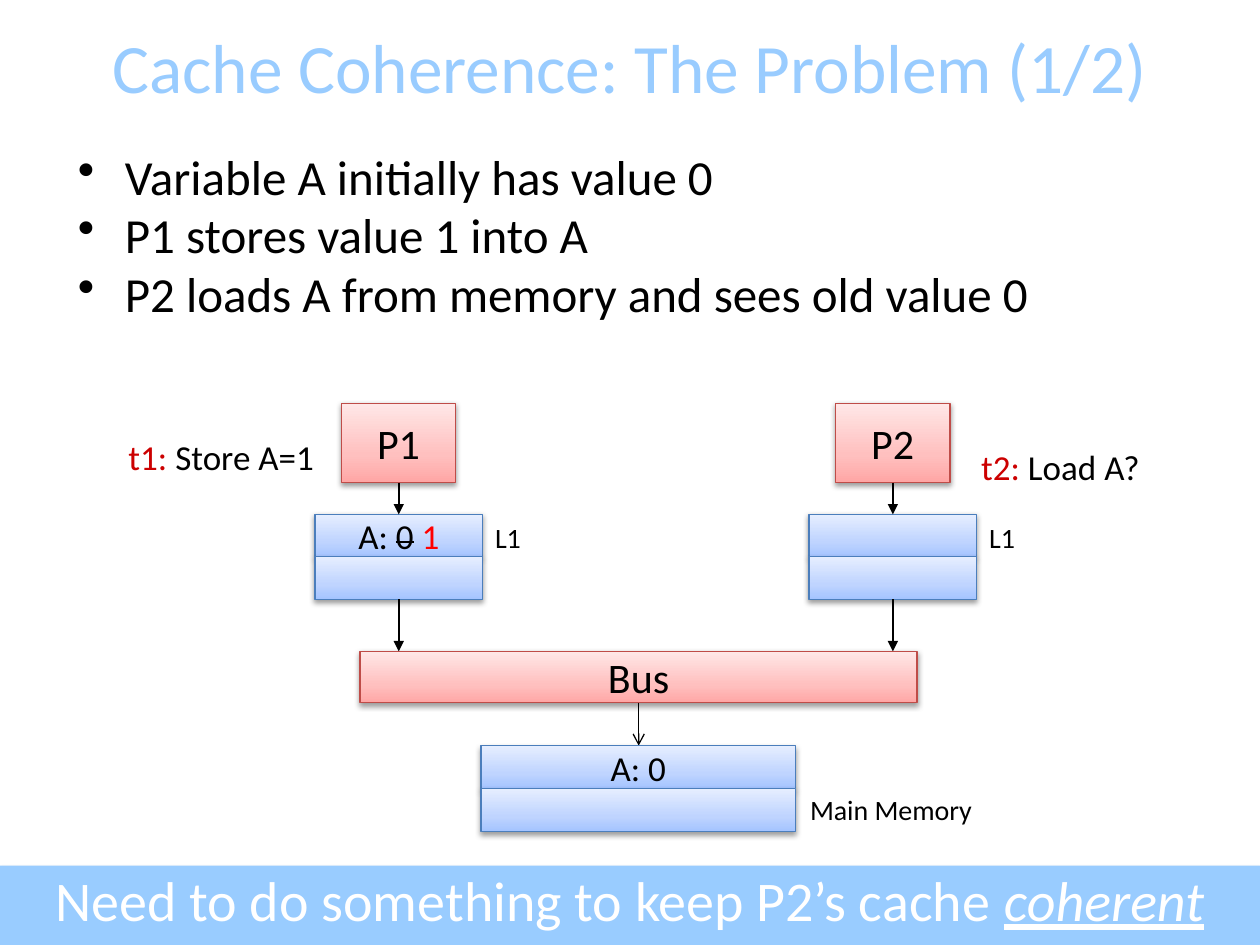
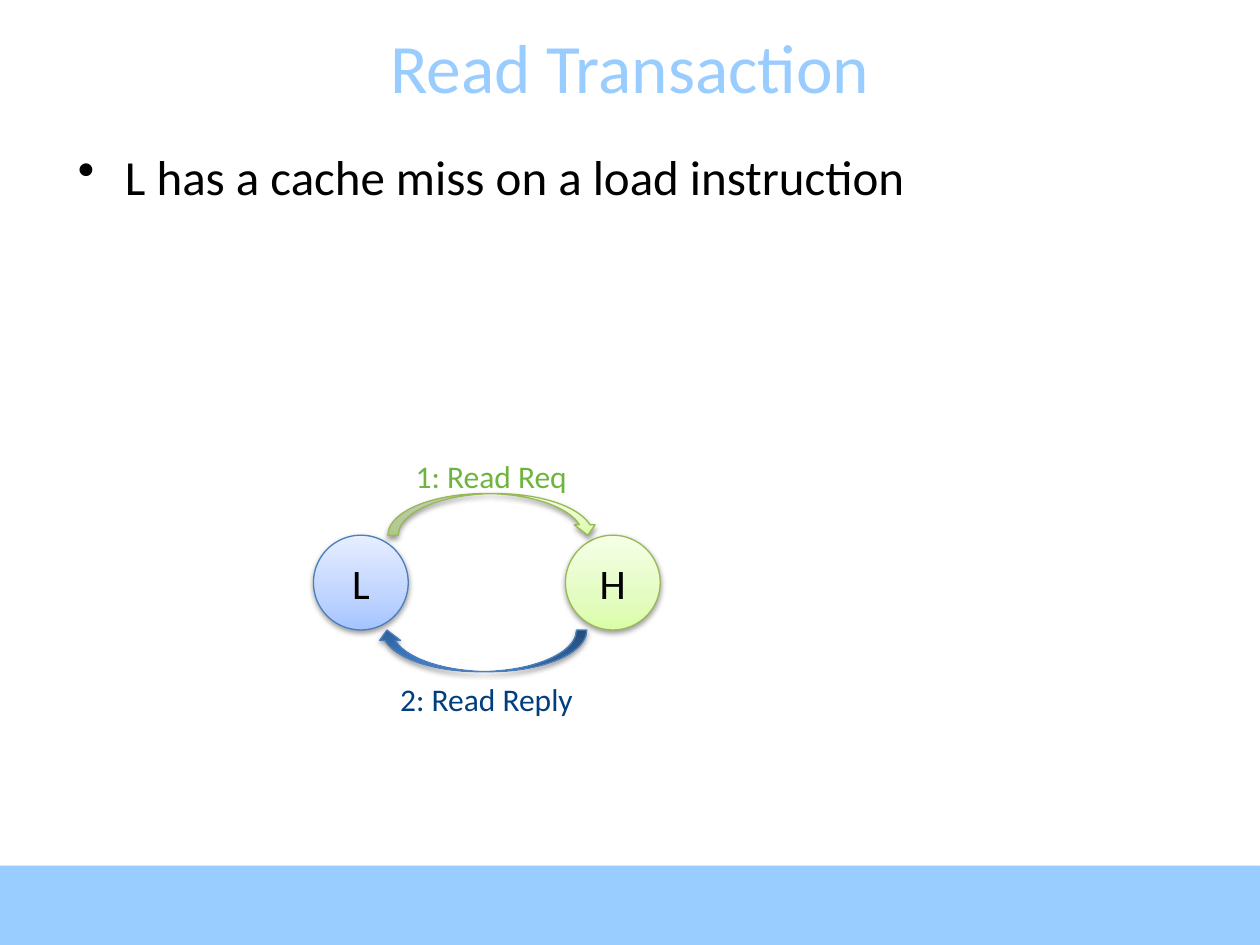
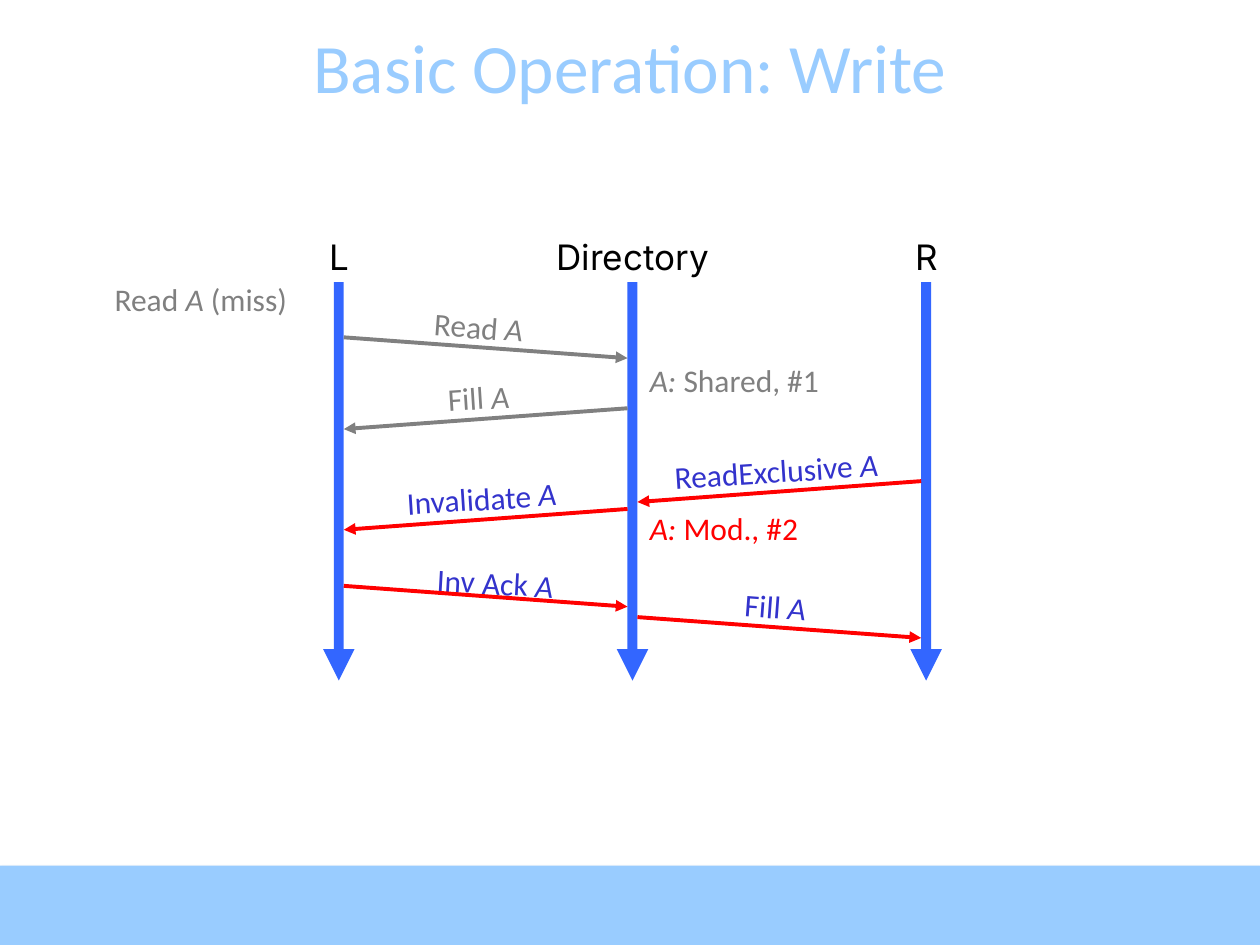
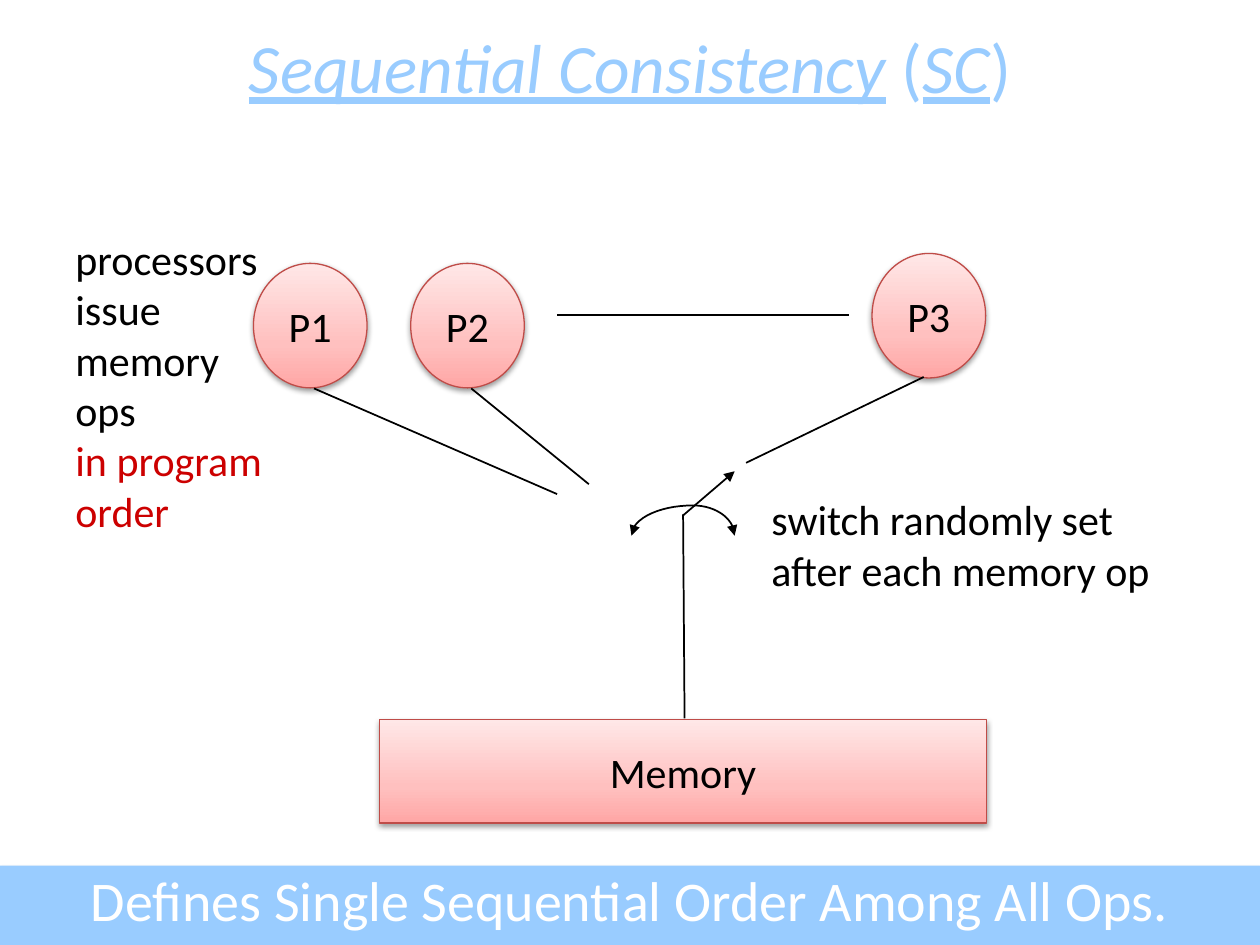
import math
from dataclasses import dataclass

from lxml import etree
from pptx import Presentation
from pptx.dml.color import RGBColor
from pptx.enum.shapes import MSO_CONNECTOR, MSO_SHAPE
from pptx.enum.text import MSO_ANCHOR, PP_ALIGN
from pptx.oxml.ns import qn
from pptx.util import Cm, Pt

LEFT, CENTER = PP_ALIGN.LEFT, PP_ALIGN.CENTER
TOP, MIDDLE = MSO_ANCHOR.TOP, MSO_ANCHOR.MIDDLE
STRAIGHT = MSO_CONNECTOR.STRAIGHT
RECTANGLE, OVAL = MSO_SHAPE.RECTANGLE, MSO_SHAPE.OVAL
CURVED_ARROW = MSO_SHAPE.CURVED_DOWN_ARROW

COLORS = {
    "sky": "99CCFF", "black": "000000", "white": "FFFFFF",
    "dark_red": "CC0000", "red": "FF0000", "gray": "808080",
    "lifeline": "3366FF", "message": "3333CC",
    "request": "6EB43F", "reply": "003E7E",
}
GRADIENTS = {
    "blue": ("4B7EBC", [(0, "A4C4FF"), (35, "BFD4FF"), (100, "E6EEFF")]),
    "red": ("BF4C48", [(0, "FFA6A5"), (35, "FFC0BF"), (100, "FFE7E7")]),
    "green": ("98B955", [(0, "DAFDA7"), (35, "E4FCC2"), (100, "F5FFE7")]),
    "navy": ("4B7EBC", [(0, "2F5F99"), (80, "3D7CC7"), (100, "3A7CCB")]),
}
FONT = "Calibri"
WIDTH, HEIGHT = 25.4, 19.05
ITALIC = {"italic": True}
KEY_TERM = {"italic": True, "underline": True}


@dataclass
class Box:
    left: float
    top: float
    width: float
    height: float

    def inner(self, dx, dy, width, height):
        return Box(self.left + dx, self.top + dy, width, height)

    def point(self, dx, dy):
        return self.left + dx, self.top + dy

    def lengths(self):
        return [Cm(value) for value in (self.left, self.top, self.width, self.height)]


def rgb(name):
    return RGBColor.from_string(COLORS[name])


def child(parent, tag, **attributes):
    values = {key: str(value) for key, value in attributes.items()}
    return etree.SubElement(parent, qn(tag), values)


def write(frame, lines, size, color="black", align=LEFT, anchor=TOP, wrap=False,
          font=FONT, spacing=None):
    frame.word_wrap = wrap
    frame.vertical_anchor = anchor
    for index, line in enumerate(lines):
        para = frame.add_paragraph() if index else frame.paragraphs[0]
        para.alignment = align
        para.line_spacing = spacing
        para.font.name = font
        para.font.size = Pt(size)
        para.font.color.rgb = rgb(color)
        for part in [line] if isinstance(line, str) else line:
            text, style = (part, {}) if isinstance(part, str) else part
            span = para.add_run()
            span.text = text
            span.font.italic = style.get("italic")
            span.font.underline = style.get("underline")
            if "color" in style:
                span.font.color.rgb = rgb(style["color"])
            if style.get("strike"):
                span.font._element.set("strike", "sngStrike")


def add_text(page, box, lines, size, tilt=0, **style):
    label = page.shapes.add_textbox(*box.lengths())
    label.rotation = tilt
    write(label.text_frame, lines, size, **style)
    return label


def cast_shadow(shape, opacity=38, distance=20000):
    shape.shadow.inherit = False
    effects = shape._element.spPr.find(qn("a:effectLst"))
    shadow = child(effects, "a:outerShdw", blurRad=40000, dist=distance,
                   dir=5400000, rotWithShape=0)
    black = child(shadow, "a:srgbClr", val=COLORS["black"])
    child(black, "a:alpha", val=opacity * 1000)


def add_glossy(page, kind, box, look, lines=(), size=24):
    shape = page.shapes.add_shape(kind, *box.lengths())
    outline, stops = GRADIENTS[look]
    shape.fill.gradient()
    shape.fill.gradient_angle = 90
    stop_list = shape._element.spPr.find(".//" + qn("a:gsLst"))
    for stop in list(stop_list):
        stop_list.remove(stop)
    for position, color in stops:
        child(child(stop_list, "a:gs", pos=position * 1000), "a:srgbClr", val=color)
    shape.line.color.rgb = RGBColor.from_string(outline)
    shape.line.width = Pt(0.75)
    cast_shadow(shape)
    if lines:
        write(shape.text_frame, lines, size, align=CENTER, anchor=MIDDLE)
    return shape


def add_flat(page, box, color):
    shape = page.shapes.add_shape(RECTANGLE, *box.lengths())
    shape.fill.solid()
    shape.fill.fore_color.rgb = rgb(color)
    shape.line.fill.background()
    shape.shadow.inherit = False
    return shape


def set_line(shape, color, width, tail):
    shape.line.color.rgb = rgb(color)
    shape.line.width = Pt(width)
    if tail:
        child(shape._element.spPr.find(qn("a:ln")), "a:tailEnd", type=tail)


def add_line(page, start, end, color="black", width=1, tail=None):
    ends = [Cm(value) for value in (*start, *end)]
    line = page.shapes.add_connector(STRAIGHT, *ends)
    set_line(line, color, width, tail)
    child(line._element.spPr, "a:effectLst")


def add_page(deck, title, banner=None):
    page = deck.slides.add_slide(deck.slide_layouts[6])
    band = add_flat(page, Box(0, 17.45, WIDTH, 1.6), "sky")
    cast_shadow(band, 35, 23000)
    add_text(page, Box(0, 0.53, WIDTH, 1.6), [title], 39.6, color="sky",
             align=CENTER, anchor=MIDDLE, wrap=True)
    if banner:
        add_text(page, Box(0, 17.32, WIDTH, 1.6), [banner], 32, color="white",
                 align=CENTER, wrap=True)
    return page


def add_bullets(page, box, lines):
    body = add_text(page, box, lines, 28, wrap=True)
    for para in body.text_frame.paragraphs:
        properties = para._p.get_or_add_pPr()
        properties.set("marL", str(Cm(0.95)))
        properties.set("indent", str(-Cm(0.95)))
        bullet = etree.Element(qn("a:buChar"), char="•")
        properties.insert_element_before(bullet, "a:tabLst", "a:defRPr", "a:extLst")


def draw_store(page, box, content=()):
    height = box.height / 2
    add_glossy(page, RECTANGLE, box.inner(0, 0, box.width, height), "blue", content, 20)
    add_glossy(page, RECTANGLE, box.inner(0, height, box.width, height), "blue")


def draw_processor(page, box, name, content=()):
    middle = box.width / 2
    add_glossy(page, RECTANGLE, box.inner(0.53, 0, 2.31, 1.6), "red", [name])
    draw_store(page, box.inner(0, 2.24, box.width, 1.71), content)
    add_text(page, box.inner(box.width, 2.24, 4.57, 0.94), ["L1"], 16, wrap=True)
    for start, end in ((1.6, 2.24), (3.95, box.height)):
        add_line(page, box.point(middle, start), box.point(middle, end), tail="triangle")


def draw_memory_path(page, box):
    middle = box.width / 2
    add_glossy(page, RECTANGLE, box.inner(0, 0, box.width, 1.04), "red", ["Bus"])
    add_line(page, box.point(middle, 1.04), box.point(middle, 1.9), width=0.75, tail="arrow")
    draw_store(page, box.inner(middle - 3.18, 1.9, 6.35, 1.73), ["A: 0"])
    add_text(page, box.inner(8.82, 2.72, 3.81, 0.94), ["Main Memory"], 16)


def draw_transaction(page, box):
    for dx, look, name in ((0, "blue", "L"), (5.08, "green", "H")):
        node = add_glossy(page, OVAL, box.inner(dx, 1.7, 1.91, 1.91), look, [name])
        node.text_frame.margin_left = node.text_frame.margin_right = 0
    add_glossy(page, CURVED_ARROW, box.inner(1.5, 0.86, 4.24, 0.84), "green")
    reply = add_glossy(page, CURVED_ARROW, box.inner(1.27, 3.61, 4.24, 0.84), "navy")
    reply.rotation = 180
    add_text(page, box.inner(1.78, 0, 3.61, 1.02), ["1: Read Req"], 18,
             color="request", align=CENTER)
    add_text(page, box.inner(1.47, 4.5, 4.04, 1.02), ["2: Read Reply"], 18,
             color="reply", align=CENTER)


def draw_message(page, box, gap, message):
    source, target, start, verb, width, shift, rise, tilt, color, text_color = message
    side = 0.1 if target > source else -0.1
    begin_x, end_x = source * gap + side, target * gap - side
    center_x, center_y = (begin_x + end_x) / 2 + shift, start + 0.21 - rise
    label = box.inner(center_x - width / 2, center_y - 0.47, width, 0.94)
    add_text(page, label, [[verb, ("A", ITALIC)]], 18, tilt=tilt,
             color=text_color, align=CENTER, spacing=0.9)
    add_line(page, box.point(begin_x, start), box.point(end_x, start + 0.42),
             color, 2.25, "triangle")


def draw_sequence(page, box):
    gap = box.width / 2
    for index, name in enumerate(("L", "Directory", "R")):
        x = index * gap
        add_line(page, box.point(x, 8.46), box.point(x, box.height), "lifeline", 6, "triangle")
        add_flat(page, box.inner(x - 0.1, 1.07, 0.2, 7.62), "lifeline")
        add_text(page, box.inner(x - 2.22, 0, 4.45, 1.09), [name], 20,
                 font="Inter", align=CENTER, wrap=True)
    messages = (
        (0, 1, 2.18, "Read ", 2.34, -0.14, 0.38, 4.3, "gray", "gray"),
        (1, 0, 3.61, "Fill ", 1.75, -0.14, 0.38, -3.7, "gray", "gray"),
        (2, 1, 5.08, "ReadExclusive ", 4.67, -0.06, 0.38, -3.7, "red", "message"),
        (1, 0, 5.64, "Invalidate ", 3.56, -0.08, 0.38, -3.7, "red", "message"),
        (0, 1, 7.19, "Inv Ack ", 4.78, 0.19, 0.23, 3.2, "red", "message"),
        (1, 2, 7.82, "Fill ", 1.75, -0.08, 0.38, 4.3, "red", "message"),
    )
    for message in messages:
        draw_message(page, box, gap, message)
    notes = (
        (-4.77, 0.91, ["Read ", ("A", ITALIC), " (miss)"], "gray"),
        (6.02, 2.54, [("A:", ITALIC), " Shared, #1"], "gray"),
        (6.02, 5.51, [("A:", ITALIC), " Mod., #2"], "red"),
    )
    for dx, dy, line, color in notes:
        add_text(page, box.inner(dx, dy, 5.72, 1.02), [line], 18, color=color, wrap=True)


def draw_swing(page, center, radius_x, radius_y):
    angles = [math.radians(step * 6) for step in range(16)]
    points = [(Cm(center[0] + radius_x * math.sin(angle)),
               Cm(center[1] - radius_y * math.cos(angle))) for angle in angles]
    builder = page.shapes.build_freeform(*points[0])
    builder.add_line_segments(points[1:], close=False)
    swing = builder.convert_to_shape()
    swing.fill.background()
    swing.shadow.inherit = False
    set_line(swing, "black", 1, "triangle")


def draw_switch(page, box):
    for dx, dy, name in ((0, 0.2, "P1"), (3.17, 0.2, "P2"), (12.47, 0, "P3")):
        add_glossy(page, OVAL, box.inner(dx, dy, 2.29, 2.51), "red", [name])
    add_glossy(page, RECTANGLE, box.inner(2.54, 9.4, 12.24, 2.08), "red", ["Memory"])
    wires = (
        ((6.12, 1.24), (12.01, 1.24), None),
        ((8.69, 9.37), (8.66, 5.26), None),
        ((6.12, 4.85), (1.22, 2.72), None),
        ((6.76, 4.65), (4.39, 2.72), None),
        ((9.93, 4.22), (13.51, 2.49), None),
        ((8.66, 5.28), (9.7, 4.39), "triangle"),
    )
    for start, end, tail in wires:
        add_line(page, box.point(*start), box.point(*end), tail=tail)
    for radius in (0.84, -1.24):
        draw_swing(page, box.point(8.86, 5.69), radius, 0.61)
    add_text(page, box.inner(10.19, 4.72, 8.23, 2.31),
             ["switch randomly set", "after each memory op"], 24)
    add_text(page, box.inner(-3.84, -0.53, 4.27, 7.44),
             ["processors", "issue memory ops",
              [("in program order", {"color": "dark_red"})]], 24, wrap=True)


def build_problem(deck):
    page = add_page(deck, "Cache Coherence: The Problem (1/2)",
                    ["Need to do something to keep P2’s cache ", ("coherent", KEY_TERM)])
    add_bullets(page, Box(1.32, 2.82, 22.86, 14.12), [
        "Variable A initially has value 0",
        "P1 stores value 1 into A",
        "P2 loads A from memory and sees old value 0",
    ])
    stored = ["A: ", ("0", {"strike": True}), " ", ("1", {"color": "red"})]
    draw_processor(page, Box(6.35, 8.13, 3.38, 5), "P1", [stored])
    draw_processor(page, Box(16.31, 8.13, 3.38, 5), "P2")
    draw_memory_path(page, Box(7.26, 13.13, 11.23, 3.63))
    events = ((Box(2.34, 8.66, 4.29, 1.12), "t1: ", "Store A=1"),
              (Box(19.53, 8.86, 3.73, 1.12), "t2: ", "Load A?"))
    for box, time, action in events:
        add_text(page, box, [[(time, {"color": "dark_red"}), action]], 20)


def build_read(deck):
    page = add_page(deck, "Read Transaction")
    add_bullets(page, Box(1.32, 2.82, 22.86, 14.12),
                ["L has a cache miss on a load instruction"])
    draw_transaction(page, Box(6.32, 9.09, 6.99, 5.52))


def build_write(deck):
    page = add_page(deck, "Basic Operation: Write")
    draw_sequence(page, Box(6.83, 4.62, 11.84, 9.1))


def build_consistency(deck):
    page = add_page(deck, [("Sequential Consistency", KEY_TERM), " (", ("SC", KEY_TERM), ")"],
                    "Defines Single Sequential Order Among All Ops.")
    draw_switch(page, Box(5.11, 5.11, 14.78, 11.48))


def main():
    deck = Presentation()
    deck.slide_width, deck.slide_height = Cm(WIDTH), Cm(HEIGHT)
    for build in (build_problem, build_read, build_write, build_consistency):
        build(deck)
    deck.save("out.pptx")


main()
